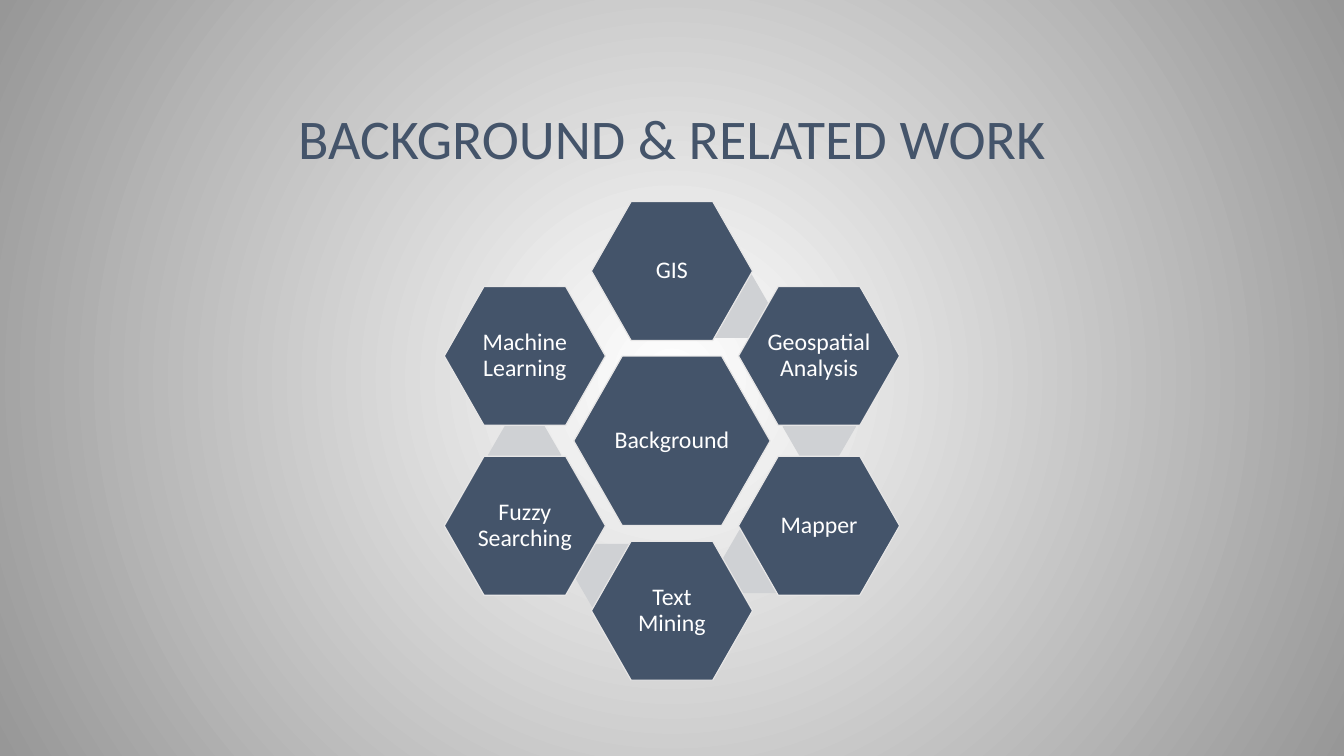
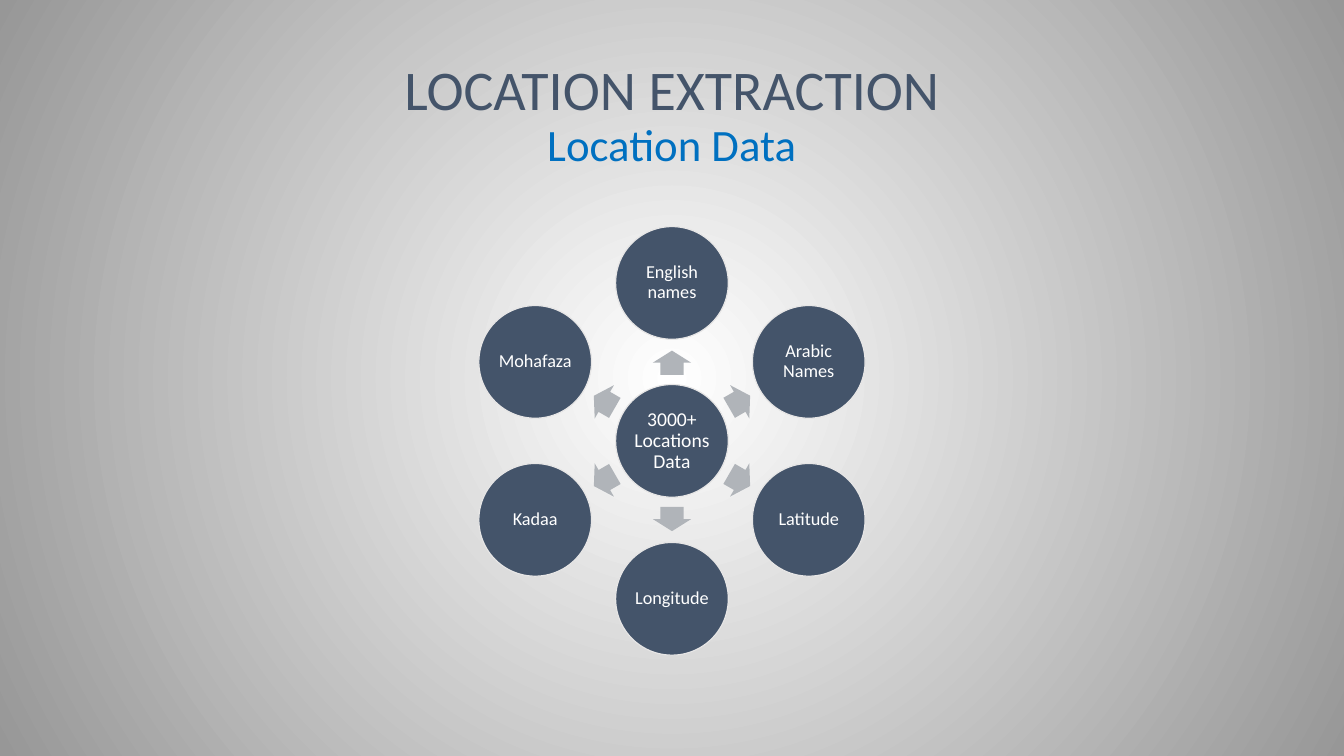
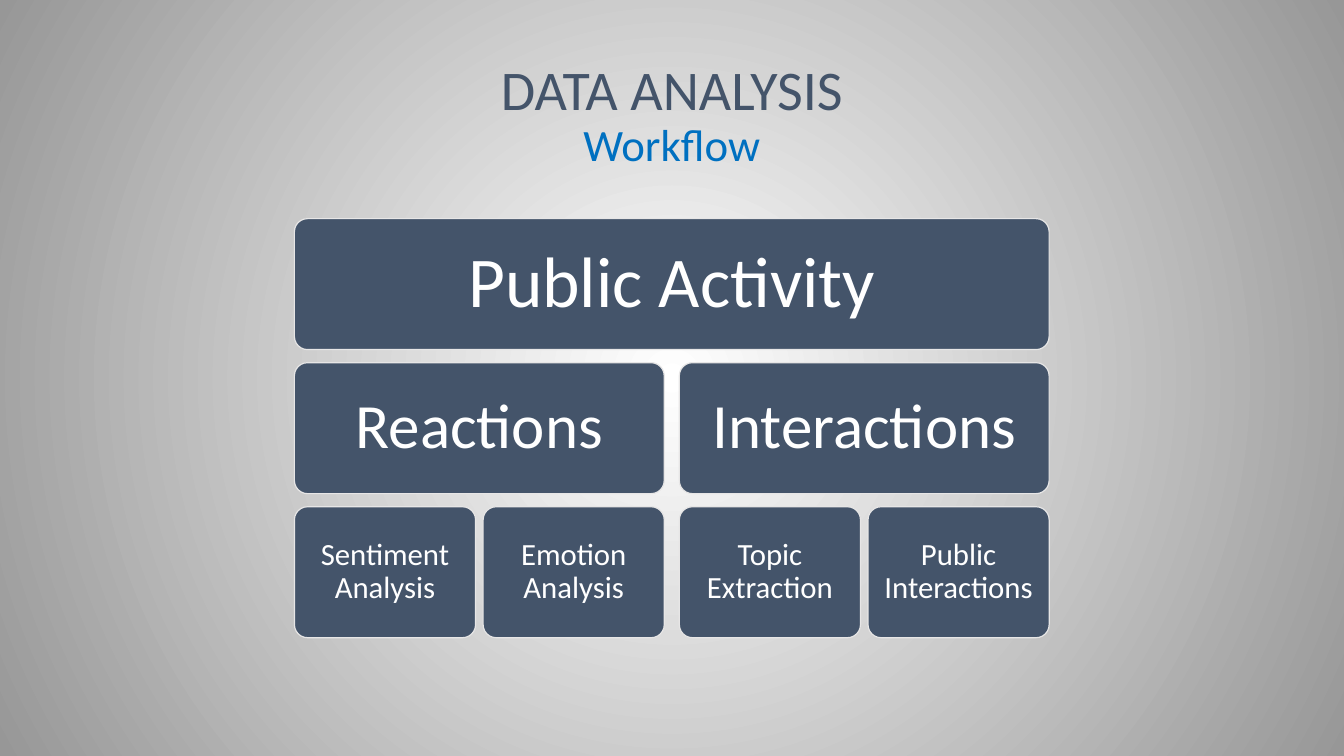
from math import cos, radians, sin

from lxml.etree import SubElement
from pptx import Presentation
from pptx.dml.color import RGBColor
from pptx.enum.shapes import MSO_SHAPE
from pptx.enum.text import MSO_ANCHOR, PP_ALIGN
from pptx.oxml.ns import qn
from pptx.util import Cm, Pt

FONT = "Calibri"
NAVY, BLUE, WHITE = "44546A", "0070C0", "FFFFFF"
OUTLINE, BACKDROP_EDGE = "E7E6E6", "979797"
LINK_GREY, ARROW_GREY = "CFD1D4", "B0B4B9"

SLIDE_WIDTH, SLIDE_HEIGHT = 33.87, 19.05  # all lengths in cm
RING_CENTRE = (SLIDE_WIDTH / 2, 11.11)
LINK_TURN = 24.5  # degrees from a topic to the link that follows it
HEXAGON = (0.286, 1.1547)
LINK_HEXAGON = (0.289, 1.1547)

BACKGROUND_TITLE = ("BACKGROUND & RELATED WORK",)
BACKGROUND_HUB = "Background"
BACKGROUND_TOPICS = ["GIS", "Geospatial Analysis", "Mapper", "Text Mining",
                     "Fuzzy Searching", "Machine Learning"]

LOCATION_TITLE = ("LOCATION EXTRACTION", "Location Data")
LOCATION_HUB = "3000+ Locations Data"
LOCATION_FIELDS = ["English names", "Arabic Names", "Latitude", "Longitude",
                   "Kadaa", "Mohafaza"]

WORKFLOW_TITLE = ("DATA ANALYSIS", "Workflow")
WORKFLOW = ("Public Activity", [
    ("Reactions", [("Sentiment Analysis", []), ("Emotion Analysis", [])]),
    ("Interactions", [("Topic Extraction", []), ("Public Interactions", [])]),
])
# One entry per level: text size, text inset, gap between children
WORKFLOW_LEVELS = [(51, 0.53, 0.38), (45, 0.48, 0.19), (22, 0.23, 0)]
WORKFLOW_LEFT, WORKFLOW_TOP, WORKFLOW_WIDTH = 7.42, 5.51, 19.02
ROW_HEIGHT, ROW_STEP = 3.3, 3.63


def colour(value):
    return RGBColor.from_string(value)


def write(frame, lines, inset=None, anchor=MSO_ANCHOR.MIDDLE):
    """Fill a frame with one centred paragraph of (text, size, colour) lines."""
    frame.word_wrap = True
    frame.vertical_anchor = anchor
    if inset is not None:
        frame.margin_left = frame.margin_right = Cm(inset)
        frame.margin_top = frame.margin_bottom = Cm(inset)
    para = frame.paragraphs[0]
    para.alignment = PP_ALIGN.CENTER
    para.line_spacing = 0.9
    for index, (text, size, shade) in enumerate(lines):
        if index:
            para.add_line_break()
        span = para.add_run()
        span.text = text
        span.font.name = FONT
        span.font.size = Pt(size)
        span.font.color.rgb = colour(shade)


def add_figure(page, kind, left, top, width, height, fill=NAVY, outline=OUTLINE,
               adjust=(), text=None, size=17, inset=0, rotation=0):
    figure = page.shapes.add_shape(kind, Cm(left), Cm(top), Cm(width), Cm(height))
    figure.shadow.inherit = False
    figure.rotation = rotation
    for index, value in enumerate(adjust):
        figure.adjustments[index] = value
    figure.fill.solid()
    figure.fill.fore_color.rgb = colour(fill)
    if outline:
        figure.line.color.rgb = colour(outline)
        figure.line.width = Pt(0.85)
    else:
        figure.line.fill.background()
    if text:
        write(figure.text_frame, [(text, size, WHITE)], inset)


def add_on_ring(page, kind, angle, radius, width, height, **style):
    """Centre a figure at an angle (clockwise from the right) on the ring."""
    x = RING_CENTRE[0] + radius * cos(radians(angle))
    y = RING_CENTRE[1] + radius * sin(radians(angle))
    add_figure(page, kind, x - width / 2, y - height / 2, width, height, **style)


def ring_angles(labels):
    """Pair each label with its angle, starting at the top."""
    step = 360 / len(labels)
    return [(label, index * step - 90) for index, label in enumerate(labels)]


def set_backdrop(master):
    fill = master.background.fill
    fill.gradient()
    for stop, shade, position in zip(fill.gradient_stops, (WHITE, BACKDROP_EDGE), (0, 1)):
        stop.color.rgb = colour(shade)
        stop.position = position
    gradient = master.element.find(".//" + qn("a:gradFill"))
    gradient.remove(gradient.find(qn("a:lin")))
    shade_route = SubElement(gradient, qn("a:path"), {"path": "circle"})
    SubElement(shade_route, qn("a:fillToRect"), dict.fromkeys("ltrb", "50000"))


def add_page(deck, title):
    page = deck.slides.add_slide(deck.slide_layouts[6])
    box = page.shapes.add_textbox(Cm(3.38), Cm(0.76), Cm(27.1), Cm(3.68))
    styles = [(40, NAVY), (32, BLUE)]
    lines = [(text, *style) for text, style in zip(title, styles)]
    write(box.text_frame, lines, anchor=MSO_ANCHOR.BOTTOM)
    return page


def draw_background(page):
    kind = MSO_SHAPE.HEXAGON
    add_on_ring(page, kind, 0, 0, 4.95, 4.27, adjust=HEXAGON, text=BACKGROUND_HUB)
    for topic, angle in ring_angles(BACKGROUND_TOPICS):
        if topic != BACKGROUND_TOPICS[-1]:
            add_on_ring(page, kind, angle + LINK_TURN, 3.73, 1.85, 1.6,
                        adjust=LINK_HEXAGON, fill=LINK_GREY, outline=None)
        add_on_ring(page, kind, angle, 4.28, 4.06, 3.5, adjust=HEXAGON, text=topic)


def draw_locations(page):
    diameter = 2.84
    add_on_ring(page, MSO_SHAPE.OVAL, 0, 0, diameter, diameter,
                text=LOCATION_HUB, size=14)
    for field, angle in ring_angles(LOCATION_FIELDS):
        add_on_ring(page, MSO_SHAPE.RIGHT_ARROW, angle, 1.97, 0.61, 0.97,
                    adjust=(0.6, 0.5), fill=ARROW_GREY, outline=None,
                    rotation=angle % 360)
        add_on_ring(page, MSO_SHAPE.OVAL, angle, 3.98, diameter, diameter,
                    text=field, size=13)


def draw_branch(page, branch, left, width, level=0):
    """Draw a box and, in the rows below, its children sharing its width."""
    label, children = branch
    size, inset, gap = WORKFLOW_LEVELS[level]
    add_figure(page, MSO_SHAPE.ROUNDED_RECTANGLE, left,
               WORKFLOW_TOP + level * ROW_STEP, width, ROW_HEIGHT,
               adjust=(0.1,), text=label, size=size, inset=inset)
    for index, child in enumerate(children):
        child_width = (width - gap * (len(children) - 1)) / len(children)
        draw_branch(page, child, left + index * (child_width + gap),
                    child_width, level + 1)


def main():
    deck = Presentation()
    deck.slide_width, deck.slide_height = Cm(SLIDE_WIDTH), Cm(SLIDE_HEIGHT)
    set_backdrop(deck.slide_master)
    draw_background(add_page(deck, BACKGROUND_TITLE))
    draw_locations(add_page(deck, LOCATION_TITLE))
    draw_branch(add_page(deck, WORKFLOW_TITLE), WORKFLOW, WORKFLOW_LEFT, WORKFLOW_WIDTH)
    deck.save("out.pptx")


if __name__ == "__main__":
    main()
